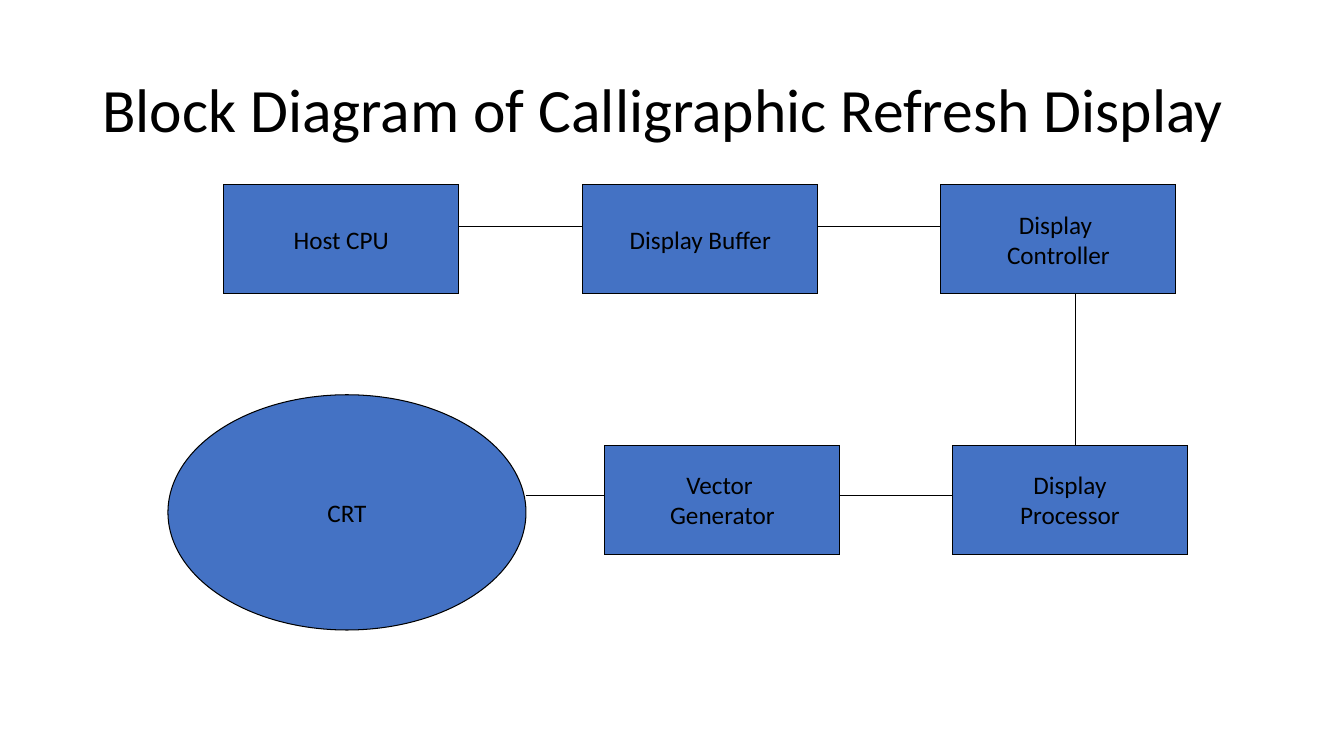
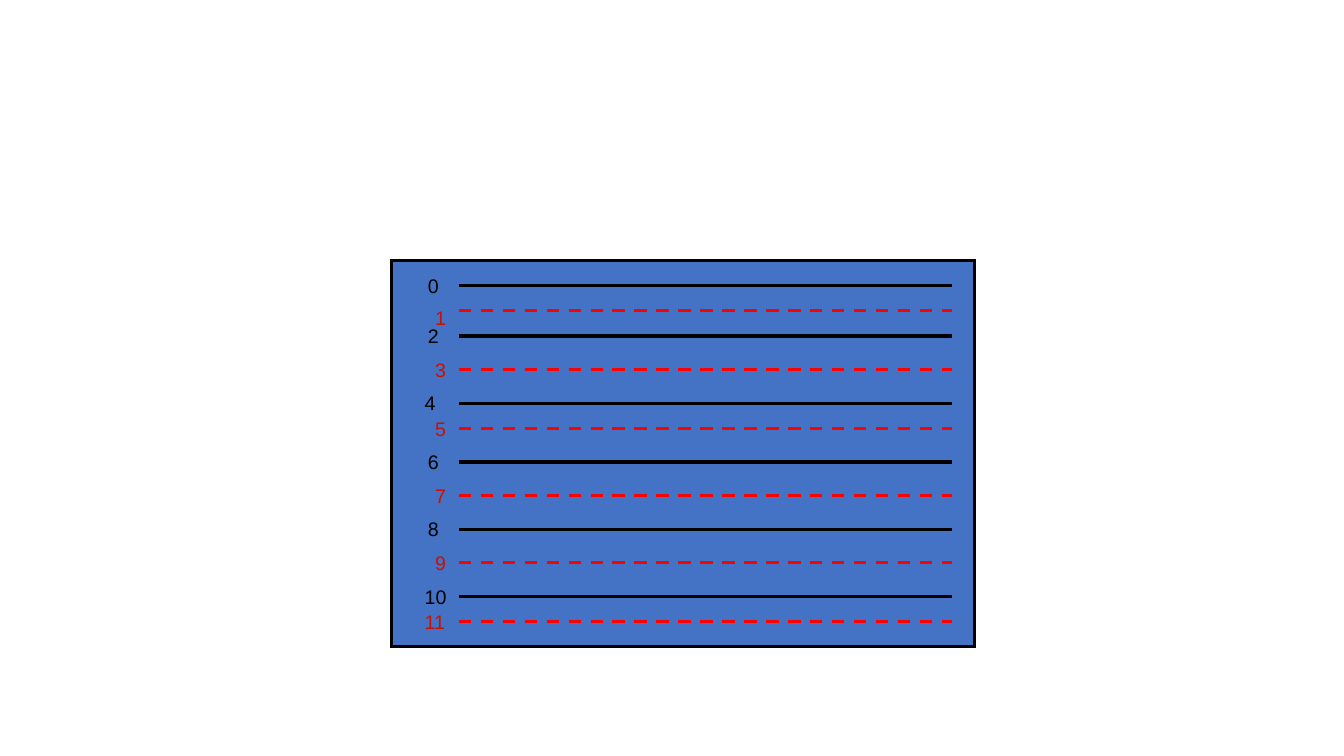
from lxml.etree import SubElement
from pptx import Presentation
from pptx.dml.color import RGBColor
from pptx.enum.dml import MSO_LINE
from pptx.enum.shapes import MSO_CONNECTOR, MSO_SHAPE
from pptx.enum.text import MSO_ANCHOR, MSO_AUTO_SIZE, PP_ALIGN
from pptx.oxml.ns import qn
from pptx.util import Pt

PX = 9525
COLORS = {"block": "4472C4", "ink": "000000", "odd_line": "FF0000", "odd_label": "CA1002"}
RGB = {name: RGBColor.from_string(value) for name, value in COLORS.items()}
FORMATS = {
    "title": {"name": "Calibri", "size": Pt(44)},
    "block": {"name": "Calibri", "size": Pt(18)},
    "label": {"name": "Arial", "size": Pt(14)},
}


def write_text(shape, text, style, color="ink", **paragraph_format):
    shape.text_frame.text = text
    for paragraph in shape.text_frame.paragraphs:
        for name, value in paragraph_format.items():
            setattr(paragraph, name, value)
        for name, value in FORMATS[style].items():
            setattr(paragraph.font, name, value)
        paragraph.font.color.rgb = RGB[color]


def add_line(slide, ends, width, color="ink", dash=None):
    connector = slide.shapes.add_connector(MSO_CONNECTOR.STRAIGHT, *[value * PX for value in ends])
    connector.line.color.rgb = RGB[color]
    connector.line.width = Pt(width)
    if dash:
        connector.line.dash_style = dash
    SubElement(connector._element.spPr, qn("a:effectLst"))


presentation = Presentation()
presentation.slide_width = 1280 * PX
presentation.slide_height = 720 * PX
blank_layout = presentation.slide_layouts[6]

diagram_slide = presentation.slides.add_slide(blank_layout)
raster_slide = presentation.slides.add_slide(blank_layout)

BLOCK = (224, 104)
blocks = [
    (diagram_slide, MSO_SHAPE.RECTANGLE, (213, 176, *BLOCK), 0.75, "Host CPU"),
    (diagram_slide, MSO_SHAPE.RECTANGLE, (555, 176, *BLOCK), 0.75, "Display Buffer"),
    (diagram_slide, MSO_SHAPE.RECTANGLE, (896, 176, *BLOCK), 0.75, "Display \nController"),
    (diagram_slide, MSO_SHAPE.RECTANGLE, (907, 424, *BLOCK), 0.75, "Display\nProcessor"),
    (diagram_slide, MSO_SHAPE.RECTANGLE, (576, 424, *BLOCK), 0.75, "Vector \nGenerator"),
    (diagram_slide, MSO_SHAPE.OVAL, (160, 376, 341, 224), 0.75, "CRT"),
    (raster_slide, MSO_SHAPE.RECTANGLE, (373, 248, 555, 368), 2.25, ""),
]
for slide, kind, box, line_width, text in blocks:
    shape = slide.shapes.add_shape(kind, *[value * PX for value in box])
    shape.shadow.inherit = False
    shape.fill.solid()
    shape.fill.fore_color.rgb = RGB["block"]
    shape.line.color.rgb = RGB["ink"]
    shape.line.width = Pt(line_width)
    SubElement(shape._element.spPr.find(qn("a:ln")), qn("a:miter"), lim="800000")
    if text:
        shape.text_frame.word_wrap = False
        shape.text_frame.vertical_anchor = MSO_ANCHOR.MIDDLE
        write_text(shape, text, "block", alignment=PP_ALIGN.CENTER)

links = [
    (437, 216, 555, 216),
    (779, 216, 896, 216),
    (800, 472, 907, 472),
    (501, 472, 576, 472),
    (1024, 280, 1024, 424),
]
for ends in links:
    add_line(diagram_slide, ends, 0.75)

title = diagram_slide.shapes.add_textbox(88 * PX, 38 * PX, 1104 * PX, 139 * PX)
title.text_frame.word_wrap = True
title.text_frame.vertical_anchor = MSO_ANCHOR.MIDDLE
write_text(title, "Block Diagram of Calligraphic Refresh Display", "title", line_spacing=0.9)

scan_lines = [272, 296, 320, 352, 384, 408, 440, 472, 504, 536, 568, 592]
label_lefts = {4: 395, 10: 395, 11: 395}
label_rises = {1: 9}
for number, y in enumerate(scan_lines):
    odd = number % 2 == 1
    add_line(
        raster_slide,
        (437, y, 907, y),
        2.25,
        "odd_line" if odd else "ink",
        MSO_LINE.DASH if odd else None,
    )
    text = str(number)
    left = label_lefts.get(number, 405 if odd else 398)
    top = y - label_rises.get(number, 16)
    width = 20 + 10 * len(text)
    label = raster_slide.shapes.add_textbox(left * PX, top * PX, width * PX, 33 * PX)
    label.text_frame.word_wrap = False
    label.text_frame.auto_size = MSO_AUTO_SIZE.SHAPE_TO_FIT_TEXT
    write_text(label, text, "label", "odd_label" if odd else "ink")

presentation.save("out.pptx")
